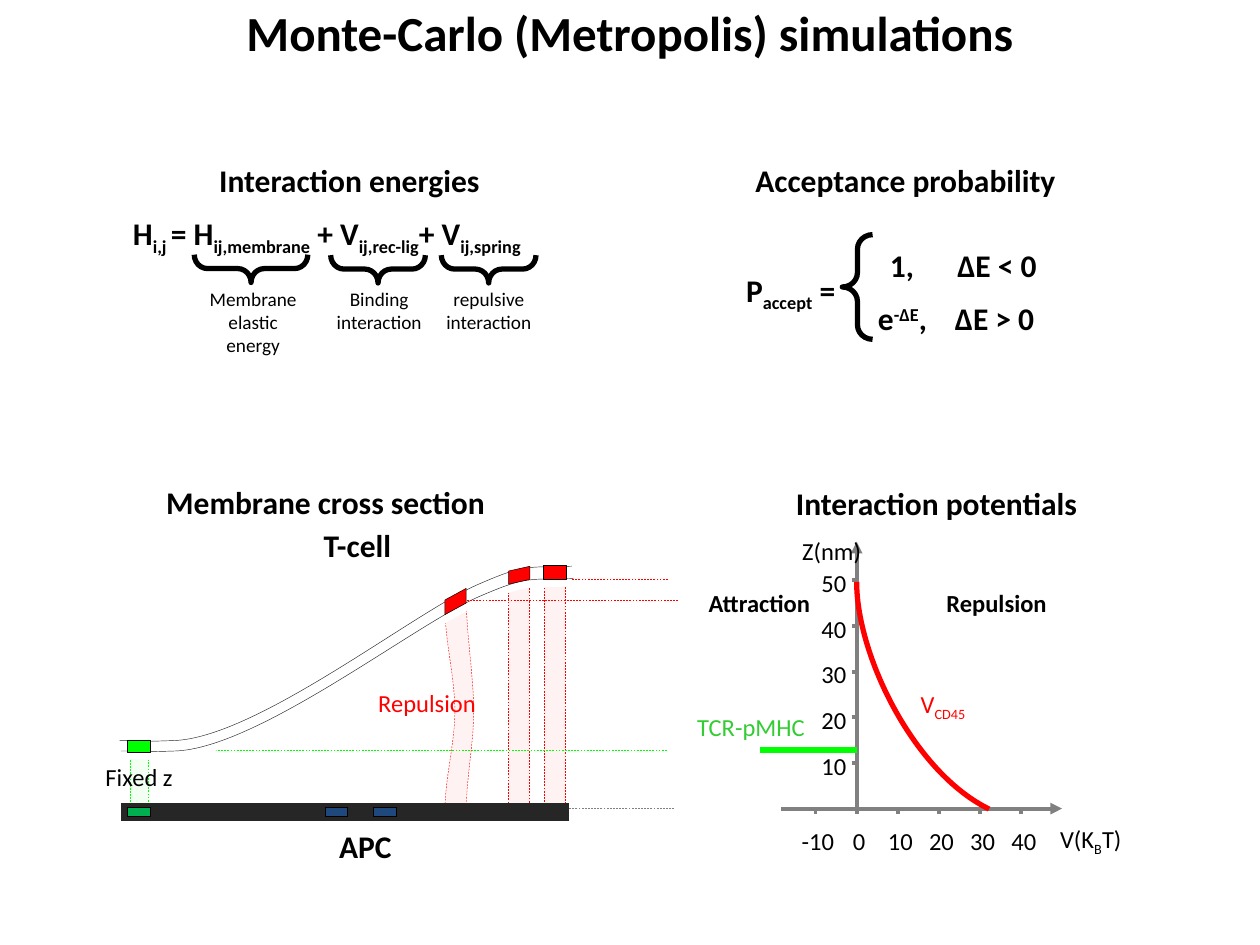
"""Builds a slide on Monte-Carlo simulations of a T-cell membrane facing an APC."""
from lxml import etree
from pptx import Presentation
from pptx.dml.color import RGBColor
from pptx.enum.dml import MSO_LINE
from pptx.enum.shapes import MSO_CONNECTOR, MSO_SHAPE as Preset
from pptx.enum.text import MSO_ANCHOR, MSO_AUTO_SIZE, PP_ALIGN
from pptx.oxml.ns import qn
from pptx.util import Cm, Pt

BLACK, GREY, DARK, WHITE = "000000", "808080", "262626", "FFFFFF"
RED, GREEN, APC_GREEN, BLUE, TCR_GREEN = "FF0000", "00FF00", "00B050", "1F497D", "33CC33"
TITLE = "Monte-Carlo (Metropolis) simulations"
SUB, SUPER = -25000, 30000

HEADINGS = [
    ("Interaction energies", 3.3, 3.12, 7.49),
    ("Acceptance probability", 14.51, 3.12, 7.49),
    ("Membrane cross section", 2.83, 9.61, 7.47),
    ("Interaction potentials", 15.16, 9.63, 7.44),
    ("T-cell", 6.24, 10.48, 1.93),
    ("APC", 6.58, 16.54, 1.57),
]
HAMILTONIAN = [("H", 0), ("i,j ", SUB), ("= H", 0), ("ij,membrane", SUB), (" + V", 0),
               ("ij,rec-lig", SUB), ("+ V", 0), ("ij,spring", SUB)]
ACCEPT = [("P", 0), ("accept", SUB), (" =", 0)]
CASES = [
    ([("1,\tΔE < 0", 0)], 17.69, 4.83, 3.5, 1.36),
    ([("e", 0), ("-ΔE", SUPER), (",\tΔE > 0", 0)], 17.45, 5.91, 3.78, 1.55),
]
TERMS = [("Membrane elastic energy", 3.91), ("Binding interaction", 6.45),
         ("repulsive interaction", 8.66)]
BRACES = [(4.78, 4.27, 0.56, 2.29, 90), (7.34, 4.47, 0.56, 1.91, 90),
          (9.57, 4.47, 0.56, 1.91, 90), (16.98, 4.73, 0.61, 2.11, 180)]
AXIS_LABELS = [
    ([("V", 0), ("CD45", SUB)], 18.31, 13.77, 1.52, RED),
    ([("V(K", 0), ("B", SUB), ("T)", 0)], 21.12, 16.48, 1.78, BLACK),
    ("Z(nm)", 15.92, 10.69, 1.7, BLACK),
]
REGION_LABELS = [
    ("Repulsion", 18.73, 11.73, 2.72, BLACK, True),
    ("Attraction", 13.9, 11.73, 2.82, BLACK, True),
    ("TCR-pMHC", 13.54, 14.22, 3.2, TCR_GREEN, False),
    ("Repulsion", 7.01, 13.74, 3.2, RED, False),
    ("Fixed z", 1.7, 15.24, 2.21, BLACK, False),
]
ZERO_X, AXIS_Y, STEP_X, STEP_Y = 17.27, 16.3, 0.83, 0.92
CD45_CURVE = [(17.27, 11.73), (17.27, 13.21), (18.42, 15.57), (19.94, 16.31)]
GUIDES = [(13.46, 11.38, 11.68, RED), (13.59, 4.98, 16.3, GREY), (13.44, 2.82, 15.13, GREEN)]
COLUMNS = [(2.62, 15.11, 0.38, 1.19, GREEN), (10.25, 11.66, 0.43, 4.7, RED),
           (10.97, 11.63, 0.43, 4.7, RED)]
BENT_COLUMN = [(8.97, 12.24), (9.12, 12.24), (9.25, 12.07), (9.4, 12.07),
               (9.4, 12.75), (9.55, 13.64), (9.55, 14.33), (9.55, 15.01), (9.4, 15.67),
               (9.4, 16.36), (9.4, 16.36), (8.97, 16.36), (8.97, 16.36), (8.97, 15.67),
               (9.17, 15.01), (9.17, 14.33), (9.17, 13.64), (8.97, 12.93), (8.97, 12.24)]
MEMBRANE = [(0, 0), (0.97, 0), (0.13, 0.03), (1.09, 0), (2.74, -0.05), (5.87, -2.51),
            (7.19, -3.1), (8.18, -3.53), (8.18, -3.45), (9.12, -3.48)]
LAYERS = [(2.39, 15.04, 1, WHITE, 15), (2.41, 14.93, 1.01, DARK, 0.25),
          (2.44, 15.14, 1, DARK, 0.25)]
APC_MOLECULES = [(6.55, BLUE), (2.57, APC_GREEN), (7.52, BLUE)]
MEMBRANE_MOLECULES = [(2.57, 14.93, 0.46, 0.23, GREEN), (10.95, 11.4, 0.46, 0.28, RED)]
TILTED_MOLECULES = [(8.92, 11.91, 0.53, 0.43, 0.545), (10.29, 11.38, 0.36, 0.43, 0.264)]

prs = Presentation()
prs.slide_width, prs.slide_height = Cm(25.4), Cm(19.05)
slide = prs.slides.add_slide(prs.slide_layouts[5])
shapes = slide.shapes


def rgb(code):
    return RGBColor.from_string(code)


def set_font(paragraph, size, color=BLACK, bold=False):
    font = paragraph.font
    font.name, font.size, font.bold = "Calibri", Pt(size), bold
    font.color.rgb = rgb(color)


def text(content, x, y, w, h=1.02, size=18, color=BLACK, bold=False, align=PP_ALIGN.CENTER,
         wrap=True, tab=None):
    frame = shapes.add_textbox(Cm(x), Cm(y), Cm(w), Cm(h)).text_frame
    frame.word_wrap = wrap
    paragraph = frame.paragraphs[0]
    paragraph.alignment = align
    for words, baseline in [(content, 0)] if isinstance(content, str) else content:
        run = paragraph.add_run()
        run.text = words
        if baseline:
            run._r.get_or_add_rPr().set("baseline", str(baseline))
    if tab:
        stops = etree.SubElement(paragraph._p.get_or_add_pPr(), qn("a:tabLst"))
        etree.SubElement(stops, qn("a:tab"), pos=str(Cm(tab)), algn="l")
    set_font(paragraph, size, color, bold)


def outline(item, color, width, dash=False):
    item.line.color.rgb, item.line.width = rgb(color), Pt(width)
    if dash:
        item.line.dash_style = MSO_LINE.DASH


def paint(shape, fill=None, alpha=None, line=BLACK, width=0.25, dash=False):
    shape.shadow.inherit = False
    outline(shape, line, width, dash)
    if not fill:
        shape.fill.background()
        return
    shape.fill.solid()
    shape.fill.fore_color.rgb = rgb(fill)
    if alpha:
        color = shape._element.spPr.find(qn("a:solidFill"))[0]
        etree.SubElement(color, qn("a:alpha"), val=str(alpha * 1000))


def preset(kind, x, y, w, h, **look):
    shape = shapes.add_shape(kind, Cm(x), Cm(y), Cm(w), Cm(h))
    paint(shape, **look)
    return shape


def line(x1, y1, x2, y2, color, width, dash=False, arrow=False):
    connector = shapes.add_connector(MSO_CONNECTOR.STRAIGHT, Cm(x1), Cm(y1), Cm(x2), Cm(y2))
    outline(connector, color, width, dash)
    if arrow:
        etree.SubElement(connector.line._get_or_add_ln(), qn("a:tailEnd"), type="triangle")
    etree.SubElement(connector._element.spPr, qn("a:effectLst"))


def curve(points, close=False, **look):
    start, *rest = [(Cm(x), Cm(y)) for x, y in points]
    builder = shapes.build_freeform(*start)
    builder.add_line_segments(rest, close=close)
    shape = builder.convert_to_shape()
    segments = list(shape._element.iter(qn("a:lnTo")))
    for i in range(0, len(rest), 3):
        first, *others = segments[i:i + 3]
        bezier = etree.Element(qn("a:cubicBezTo"))
        first.addprevious(bezier)
        for segment in (first, *others):
            bezier.append(segment[0])
            segment.getparent().remove(segment)
    paint(shape, **look)


def draw_equations():
    text(HAMILTONIAN, 1.88, 4.19, 9.42, bold=True)
    text(ACCEPT, 14.71, 5.33, 2.46, bold=True, wrap=False)
    for content, x, y, w, tab in CASES:
        text(content, x, y, w, bold=True, align=PP_ALIGN.LEFT, wrap=False, tab=tab)
    for term, x in TERMS:
        text(term, x, 5.67, 2.39, 1.19, size=11)
    for x, y, w, h, angle in BRACES:
        brace = preset(Preset.RIGHT_BRACE, x, y, w, h, width=3)
        brace.rotation = angle
        brace.adjustments[0] = 0.477


def draw_potentials():
    line(ZERO_X, AXIS_Y, ZERO_X, 10.92, GREY, 2.25, arrow=True)
    line(15.75, AXIS_Y, 21.41, AXIS_Y, GREY, 2.25, arrow=True)
    for i in range(6):
        y = AXIS_Y - STEP_Y * i
        line(17.17, y, 17.25, y, GREY, 2.25)
        if i:
            text(str(10 * i), 16.3, y - 0.37, 1.02, 0.86, 14, wrap=False)
    for i in range(-1, 5):
        x = ZERO_X + STEP_X * i
        line(x, 16.33, x, 16.41, GREY, 2.25)
        text(str(10 * i), x - 0.54, 16.52, 1.18, 0.86, 14, wrap=False)
    curve(CD45_CURVE, line=RED, width=3)
    line(ZERO_X, 15.12, 15.32, 15.12, GREEN, 3)


def draw_membranes():
    for x, y, w, h, color in COLUMNS:
        preset(Preset.RECTANGLE, x, y, w, h, fill=color, alpha=5, line=color, dash=True)
    for x1, x2, y, color in GUIDES:
        line(x1, y, x2, y, color, 0.25, dash=True)
    curve(BENT_COLUMN, close=True, fill=RED, alpha=5, line=RED, dash=True)
    for x, y, rise, color, width in LAYERS:
        curve([(x + dx, y + rise * dy) for dx, dy in MEMBRANE], line=color, width=width)
    line(11.48, 16.37, 2.43, 16.37, DARK, 10)
    line(13.67, 12.09, 9.19, 12.09, RED, 0.25, dash=True)
    for x, color in APC_MOLECULES:
        preset(Preset.RECTANGLE, x, 16.28, 0.46, 0.18, fill=color)
    for x, y, w, h, color in MEMBRANE_MOLECULES:
        preset(Preset.RECTANGLE, x, y, w, h, fill=color)
    for x, y, w, h, slant in TILTED_MOLECULES:
        molecule = preset(Preset.PARALLELOGRAM, x, y, w, h, fill=RED)
        molecule.rotation, molecule.adjustments[0] = 90, slant
        molecule._element.spPr.xfrm.set("flipH", "1")


title = shapes.title
title.left, title.top, title.width, title.height = Cm(1.47), Cm(0), Cm(22.45), Cm(2.49)
heading = title.text_frame
heading.text = TITLE
heading.auto_size, heading.vertical_anchor = MSO_AUTO_SIZE.NONE, MSO_ANCHOR.TOP
heading.margin_top = heading.margin_bottom = Cm(0.05)
heading.paragraphs[0].alignment = PP_ALIGN.CENTER
set_font(heading.paragraphs[0], 28, bold=True)

draw_equations()
draw_potentials()
draw_membranes()
for content, x, y, w in HEADINGS:
    text(content, x, y, w, bold=True)
for content, x, y, w, color in AXIS_LABELS:
    text(content, x, y, w, 0.86, 14, color, align=PP_ALIGN.LEFT, wrap=False)
for content, x, y, w, color, bold in REGION_LABELS:
    text(content, x, y, w, 0.86, 14, color, bold)
prs.save("out.pptx")
